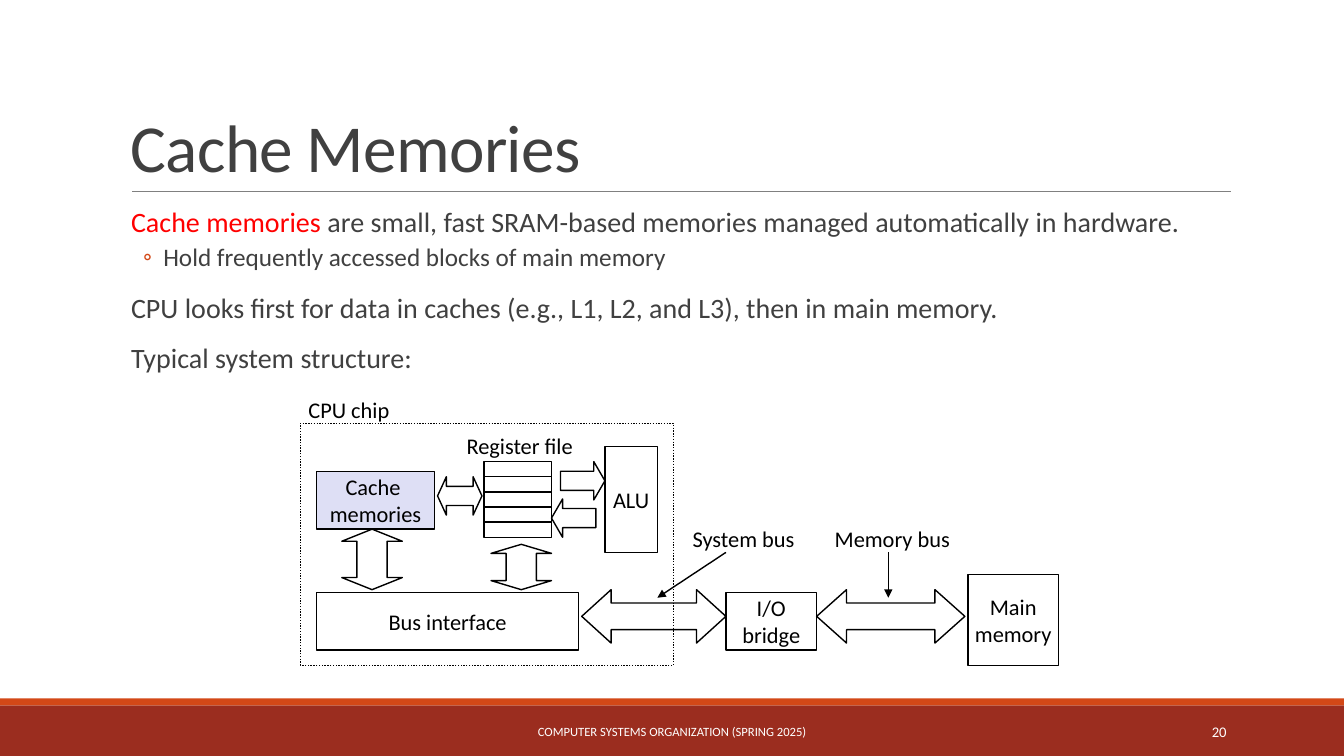
from lxml import etree
from pptx import Presentation
from pptx.dml.color import RGBColor
from pptx.enum import dml, shapes, text
from pptx.oxml.ns import qn
from pptx.util import Inches, Pt

HUES = {"band": "9B2D1F", "edge": "D34817", "rule": "808080", "body": "404040",
        "key": "FF0000", "ink": "000000", "cache": "DEDFF5", "pale": "FFFFFF"}
FONT = "Calibri"
KIND = shapes.MSO_SHAPE
SIDE = text.PP_ALIGN
MID = text.MSO_ANCHOR.MIDDLE


def hue(name):
    """Return the named colour."""
    return RGBColor.from_string(HUES[name])


def grid(box, cols, rows):
    """Return a function that turns grid cells into slide lengths."""
    x, y, w, h = box

    def place(c, r, wide=0, high=0):
        return [Inches(v) for v in (x + c * w / cols, y + r * h / rows,
                                    wide * w / cols, high * h / rows)]
    return place


def style(par, size, color, align=SIDE.LEFT):
    """Set font and alignment of a paragraph."""
    par.font.name, par.font.size = FONT, Pt(size)
    par.font.color.rgb = hue(color)
    par.alignment = align


def write(frame, words, size, color, align=SIDE.CENTER, anchor=MID, wrap=False):
    """Fill a text frame, one paragraph a line."""
    frame.word_wrap, frame.vertical_anchor = wrap, anchor
    frame.text = words
    for par in frame.paragraphs:
        style(par, size, color, align)


def shape(slide, kind, area, fill=None, line="ink", words="", adj=()):
    """Add a preset shape with optional fill, line and words."""
    item = slide.shapes.add_shape(kind, *area)
    item.shadow.inherit = False
    if fill:
        item.fill.solid()
        item.fill.fore_color.rgb = hue(fill)
    else:
        item.fill.background()
    if line:
        item.line.color.rgb, item.line.width = hue(line), Pt(1)
    else:
        item.line.fill.background()
    for i, value in enumerate(adj):
        item.adjustments[i] = value
    if words:
        write(item.text_frame, words, 16, "ink")
    return item


def upright(slide, area, tip):
    """Add a vertical double arrow by turning a level one about its centre."""
    x, y, w, h = area
    turned = (x + (w - h) // 2, y + (h - w) // 2, h, w)
    shape(slide, KIND.LEFT_RIGHT_ARROW, turned, adj=(0.5, tip)).rotation = 90


def label(slide, area, words, size=16, color="ink", **opts):
    """Add a text box."""
    item = slide.shapes.add_textbox(*area)
    write(item.text_frame, words, size, color, **opts)
    return item


def link(slide, start, end, color="ink", width=1, head=False):
    """Add a straight line, with an arrowhead at its end if asked."""
    item = slide.shapes.add_connector(shapes.MSO_CONNECTOR.STRAIGHT, *start, *end)
    item.line.color.rgb, item.line.width = hue(color), Pt(width)
    if head:
        etree.SubElement(item.line._get_or_add_ln(), qn("a:tailEnd"), type="triangle")
    etree.SubElement(item._element.spPr, qn("a:effectLst"))


def header(slide, box):
    """Draw the title and the rule under it."""
    at = grid(box, 100, 1)
    title = label(slide, at(0, 0, 100, 1), "Cache Memories", 48, "body",
                  align=SIDE.LEFT, anchor=text.MSO_ANCHOR.BOTTOM, wrap=True)
    par = title.text_frame.paragraphs[0]
    par.line_spacing = 0.85
    par.runs[0].font._element.set("spc", "-50")
    link(slide, at(1, 1)[:2], at(100.1, 1)[:2], "rule", 0.5)


def points(slide, box):
    """Draw the body text with its sub-point."""
    frame = slide.shapes.add_textbox(*grid(box, 1, 1)(0, 0, 1, 1)).text_frame
    frame.word_wrap = True
    frame.margin_left = frame.margin_right = 0
    rows = [
        (0, "Cache memories ",
         "are small, fast SRAM-based memories managed automatically in hardware."),
        (1, "", "Hold frequently accessed blocks of main memory"),
        (0, "", "CPU looks first for data in caches (e.g., L1, L2, and L3), then in main memory."),
        (0, "", "Typical system structure:"),
    ]
    for i, (level, key, words) in enumerate(rows):
        par = frame.add_paragraph() if i else frame.paragraphs[0]
        style(par, 18 if level else 20, "body")
        par.level, par.line_spacing = level, 0.9
        par.space_before, par.space_after = (Pt(2), Pt(4)) if level else (Pt(12), Pt(2))
        if key:
            run = par.add_run()
            run.text, run.font.color.rgb = key, hue("key")
        par.add_run().text = words
        props = par._p.get_or_add_pPr()
        props.set("marL", str(Inches(0.42 if level else 0.1)))
        props.set("indent", str(Inches(-0.2 if level else 0)))
        if level:
            dot = etree.Element(qn("a:buClr"))
            etree.SubElement(dot, qn("a:srgbClr"), val=HUES["edge"])
            face = etree.Element(qn("a:buFont"), typeface=FONT)
            mark = etree.Element(qn("a:buChar"), char="◦")
            spot = list(props).index(props.find(qn("a:defRPr")))
            for step, part in enumerate((dot, face, mark)):
                props.insert(spot + step, part)


def chart(slide, box):
    """Draw the system structure on a grid of 76 columns and 28 rows."""
    at = grid(box, 76, 28)
    chip = shape(slide, KIND.RECTANGLE, at(0, 3.2, 37, 24))
    chip.line.dash_style = dml.MSO_LINE.ROUND_DOT
    blocks = [
        ("Main\nmemory", None, (66.2, 18.2, 9, 9)),
        ("I/O\nbridge", None, (42.2, 20, 9, 5.7)),
        ("Bus interface", None, (1.6, 20, 26, 5.7)),
        ("ALU", None, (30.2, 5.5, 5.2, 10.5)),
        ("Cache \nmemories", "cache", (1.6, 8, 11.7, 5.7)),
    ]
    for words, fill, cell in blocks:
        shape(slide, KIND.RECTANGLE, at(*cell), fill, words=words)
    for i in range(5):
        shape(slide, KIND.RECTANGLE, at(18.2, 7 + 1.5 * i, 6.7, 1.5))
    arrows = [
        (KIND.LEFT_RIGHT_ARROW, 0.56, (51.2, 19.7, 14.7, 5.3)),
        (KIND.LEFT_RIGHT_ARROW, 0.55, (27.9, 19.7, 14.3, 5.3)),
        (KIND.LEFT_RIGHT_ARROW, 0.23, (13.6, 8.5, 4.4, 3.8)),
        (KIND.RIGHT_ARROW, 0.29, (25.8, 7, 4.4, 3.8)),
        (KIND.LEFT_ARROW, 0.29, (24.9, 10.7, 4.4, 3.8)),
    ]
    for kind, tip, cell in arrows:
        shape(slide, kind, at(*cell), adj=(0.5, tip))
    for cell in ((18.9, 15.2, 6, 4.5), (4.1, 13.7, 6, 6)):
        upright(slide, at(*cell), 0.2)
    names = [
        ("CPU chip", (-0.3, 0, 10.2, 3.7)),
        ("Register file", (15.4, 3.6, 12.7, 3.7)),
        ("System bus", (37.8, 12.8, 12.3, 3.7)),
        ("Memory bus", (51.9, 12.8, 13.6, 3.7)),
    ]
    for words, cell in names:
        label(slide, at(*cell), words)
    for start, end in ((42.2, 35.4), (58.3, 58.3)):
        link(slide, at(start, 16)[:2], at(end, 20.5)[:2], head=True)


def footer(slide, box):
    """Draw the bottom bands, the course name and the page number."""
    at = grid(box, 100, 100)
    shape(slide, KIND.RECTANGLE, at(0, 12, 100, 88), "band", None)
    shape(slide, KIND.RECTANGLE, at(0, 0, 100, 12), "edge", None)
    label(slide, at(30.2, 23, 39.6, 70), "COMPUTER SYSTEMS ORGANIZATION (SPRING 2025)",
          9, "pale", wrap=True)
    label(slide, at(81.2, 23, 10.8, 70), "20", 10.5, "pale", align=SIDE.RIGHT, wrap=True)


def main():
    """Build and save the slide."""
    deck = Presentation()
    deck.slide_width, deck.slide_height = Inches(13.33), Inches(7.5)
    slide = deck.slides.add_slide(deck.slide_layouts[6])
    footer(slide, (0, 6.93, 13.33, 0.57))
    header(slide, (1.2, 0.31, 11, 1.59))
    points(slide, (1.2, 2.02, 11, 4.4))
    chart(slide, (2.98, 3.88, 7.6, 2.8))
    deck.save("out.pptx")


if __name__ == "__main__":
    main()
